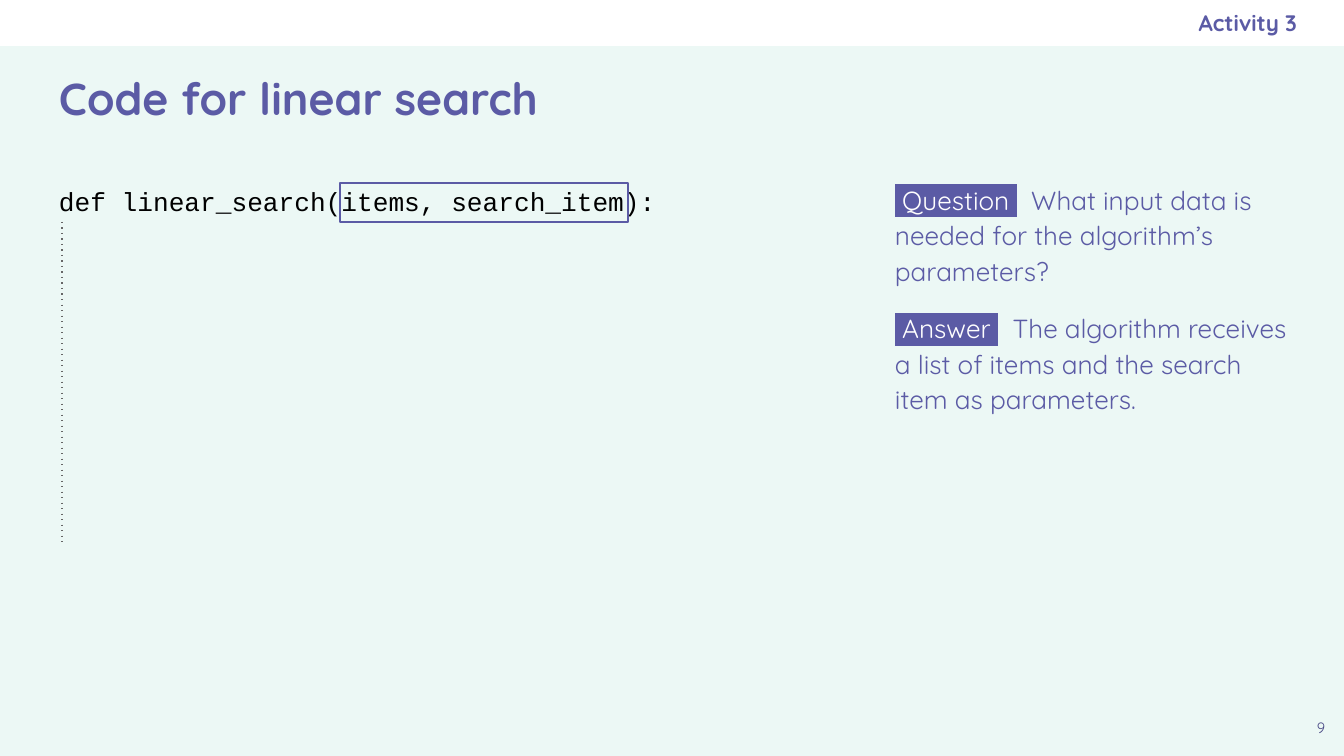
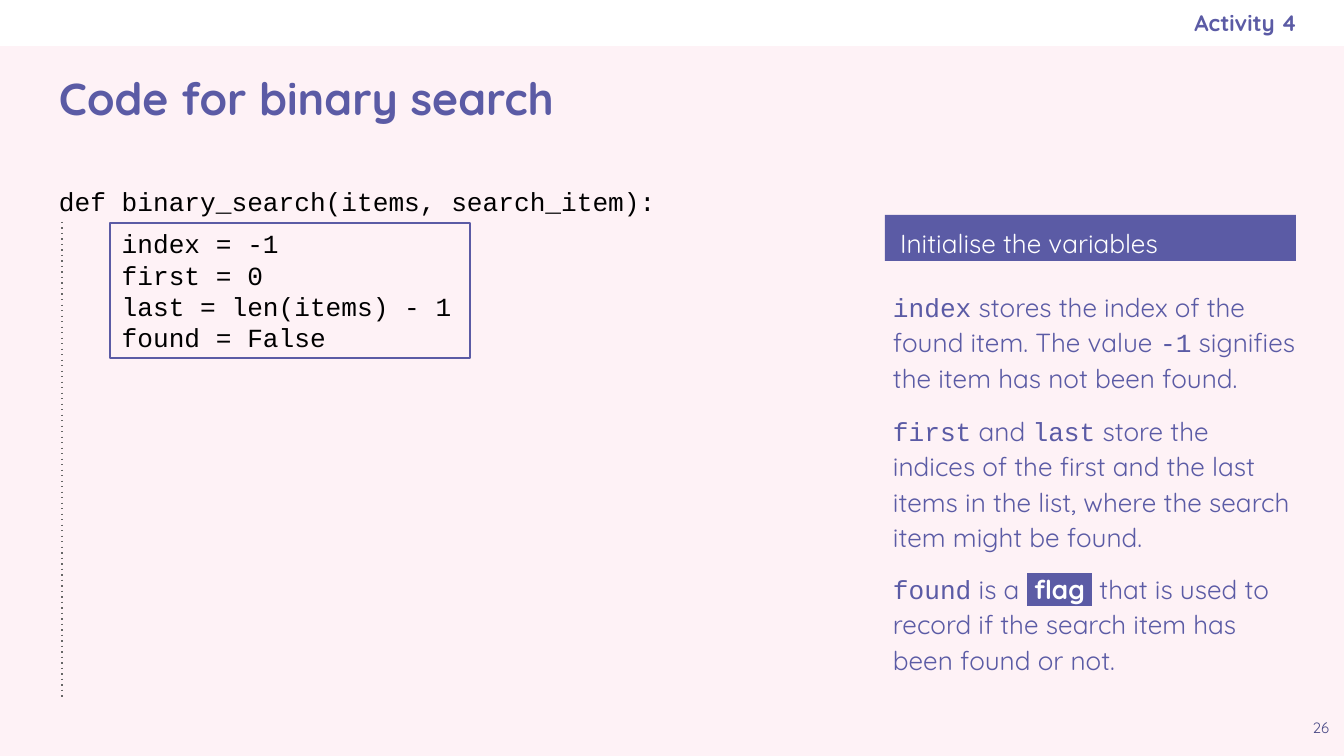
from dataclasses import dataclass

from lxml.etree import SubElement
from pptx import Presentation
from pptx.dml.color import RGBColor
from pptx.enum.shapes import MSO_CONNECTOR, MSO_SHAPE
from pptx.enum.text import MSO_ANCHOR, PP_ALIGN
from pptx.oxml.ns import qn
from pptx.util import Emu, Pt


@dataclass(frozen=True)
class Theme:
    """Colours, fonts and type sizes shared by the slides."""

    accent: str = "5B5BA5"
    number: str = "494985"
    code: str = "000000"
    guide: str = "666666"
    white: str = "FFFFFF"
    sans: str = "Quicksand"
    mono: str = "Courier New"
    title_size: int = 24
    body_size: int = 14
    activity_size: int = 12
    number_size: int = 8
    rule: float = 0.75
    note_spacing: float = 1.13


THEME = Theme()
EMU_PER_PX = 914400 / 134.4
WIDTH, HEIGHT = 1344, 756
MARGIN, BAND = 46, 46
CONTENT_TOP, GUIDE_X, GUIDE_TOP = 172, 62, 222
NOTE_WIDTH = 411

CODE = {"font": THEME.mono}
TAG = {"color": THEME.white, "highlight": THEME.accent}
GAP = {"tracking": 4}

SLIDES = [
    {
        "background": "ECF8F5",
        "activity": "Activity 3",
        "title": "Code for linear search",
        "number": "9",
        "code": ["def linear_search(items, search_item):"],
        "frame": (340, 183, 288, 39),
        "guide_bottom": 544,
        "notes": [
            ((887, 172, NOTE_WIDTH, 110), [
                [(" Question ", TAG), (" ", GAP),
                 ("What input data is needed for the algorithm’s parameters?", {})],
                [(" Answer ", TAG), (" ", GAP),
                 ("The algorithm receives a list of items and the search item as parameters.", {})],
            ]),
        ],
    },
    {
        "background": "FEF2F6",
        "activity": "Activity 4",
        "title": "Code for binary search",
        "number": "26",
        "code": [
            "def binary_search(items, search_item):",
            "    index = -1",
            "    first = 0",
            "    last = len(items) - 1",
            "    found = False",
        ],
        "frame": (110, 223, 360, 135),
        "guide_bottom": 699,
        "heading": (" Initialise the variables", (885, 215, NOTE_WIDTH, 46)),
        "notes": [
            ((885, 279, NOTE_WIDTH, 126), [
                [("index", CODE), (" stores the index of the found item. The value ", {}),
                 ("-1", CODE), (" signifies the item has not been found.", {})],
            ]),
            ((885, 403, NOTE_WIDTH, 152), [
                [("first", CODE), (" and ", {}), ("last", CODE),
                 (" store the indices of the first and the last items in the list, "
                  "where the search item might be found.", {})],
            ]),
            ((885, 561, NOTE_WIDTH, 115), [
                [("found", CODE), (" is a ", {}), (" flag ", {**TAG, "bold": True}),
                 (" that is used to record if the search item has been found or not.", {})],
            ]),
        ],
    },
]


def px(length):
    """Turn pixels into EMU."""
    return Emu(round(length * EMU_PER_PX))


def rgb(value):
    """Turn a hex string into a colour."""
    return RGBColor.from_string(value)


def format_run(run, size, color, font, bold=False, highlight=None, tracking=0):
    """Set the character format of one run."""
    run.font.size = Pt(size)
    run.font.bold = bold
    run.font.color.rgb = rgb(color)
    properties = run.font._element
    if highlight:
        marker = SubElement(properties, qn("a:highlight"))
        SubElement(marker, qn("a:srgbClr"), val=highlight)
    if tracking:
        properties.set("spc", str(tracking * 100))
    run.font.name = font


def add_text(slide, area, paragraphs, fill=None, insets=(13, 13, 13, 13),
             anchor=MSO_ANCHOR.TOP, align=PP_ALIGN.LEFT, spacing=None, gaps=(),
             size=THEME.body_size, color=THEME.accent, font=THEME.sans, bold=False):
    """Write paragraphs of (text, format) runs in a box, filled if a colour is given."""
    box = add_box(slide, area, fill) if fill else slide.shapes.add_textbox(*map(px, area))
    frame = box.text_frame
    frame.word_wrap = True
    frame.vertical_anchor = anchor
    frame.margin_left, frame.margin_top, frame.margin_right, frame.margin_bottom = map(px, insets)
    base = {"size": size, "color": color, "font": font, "bold": bold}
    for index, runs in enumerate(paragraphs):
        paragraph = frame.add_paragraph() if index else frame.paragraphs[0]
        paragraph.alignment = align
        if spacing:
            paragraph.line_spacing = spacing
        if 0 < index <= len(gaps):
            paragraph.space_before = Pt(gaps[index - 1])
        for content, style in runs:
            run = paragraph.add_run()
            run.text = content
            format_run(run, **{**base, **style})


def add_box(slide, area, fill=None, line=None):
    """Draw a plain rectangle."""
    box = slide.shapes.add_shape(MSO_SHAPE.RECTANGLE, *map(px, area))
    box.shadow.inherit = False
    if fill:
        box.fill.solid()
        box.fill.fore_color.rgb = rgb(fill)
    else:
        box.fill.background()
    if line:
        box.line.color.rgb = rgb(line)
        box.line.width = Pt(THEME.rule)
    else:
        box.line.fill.background()
    return box


def add_guide(slide, bottom):
    """Draw the dotted indentation guide."""
    guide = slide.shapes.add_connector(
        MSO_CONNECTOR.STRAIGHT, px(GUIDE_X), px(GUIDE_TOP), px(GUIDE_X), px(bottom))
    guide.line.color.rgb = rgb(THEME.guide)
    guide.line.width = Pt(THEME.rule)
    SubElement(guide.line._get_or_add_ln(), qn("a:prstDash"), val="dot")
    SubElement(guide._element.spPr, qn("a:effectLst"))


def add_base(slide, content):
    """Add the background, band, activity, title and number."""
    slide.background.fill.solid()
    slide.background.fill.fore_color.rgb = rgb(content["background"])
    add_box(slide, (0, 0, WIDTH, BAND), fill=THEME.white)
    add_text(slide, (773, 0, 524, BAND), [[(content["activity"], {})]],
             insets=(13, 13, 0, 13), anchor=MSO_ANCHOR.MIDDLE, align=PP_ALIGN.RIGHT,
             size=THEME.activity_size, bold=True)
    add_text(slide, (MARGIN, 47, WIDTH - 2 * MARGIN, 102), [[(content["title"], {})]],
             anchor=MSO_ANCHOR.MIDDLE, size=THEME.title_size, bold=True)
    add_text(slide, (WIDTH - MARGIN, HEIGHT - MARGIN, MARGIN, MARGIN),
             [[(content["number"], {})]], align=PP_ALIGN.CENTER,
             size=THEME.number_size, color=THEME.number)


def add_lesson(slide, content):
    """Add the code, its frame and guide, and the notes beside it."""
    add_text(slide, (MARGIN, CONTENT_TOP, 817, 538), [[(line, {})] for line in content["code"]],
             gaps=(6,), color=THEME.code, font=THEME.mono)
    if "heading" in content:
        heading, area = content["heading"]
        add_text(slide, area, [[(heading, {})]], fill=THEME.accent, insets=(8, 8, 8, 8),
                 spacing=THEME.note_spacing, color=THEME.white)
    for area, paragraphs in content["notes"]:
        add_text(slide, area, paragraphs, insets=(8, 8, 0, 8),
                 spacing=THEME.note_spacing, gaps=(12,))
    add_box(slide, content["frame"], line=THEME.accent)
    add_guide(slide, content["guide_bottom"])


def main():
    """Build the deck."""
    deck = Presentation()
    deck.slide_width, deck.slide_height = px(WIDTH), px(HEIGHT)
    for content in SLIDES:
        slide = deck.slides.add_slide(deck.slide_layouts[6])
        add_base(slide, content)
        add_lesson(slide, content)
    deck.save("out.pptx")


if __name__ == "__main__":
    main()
